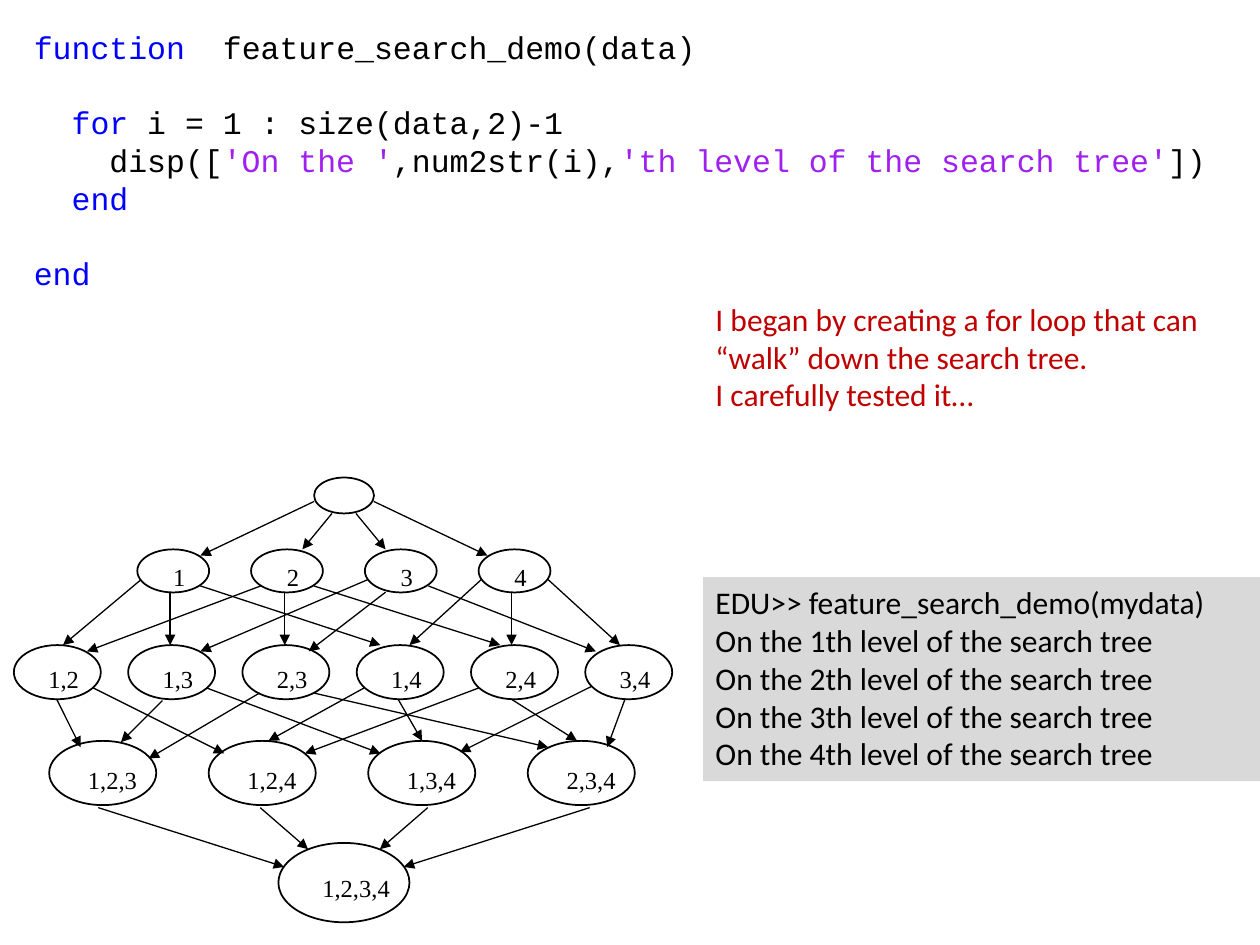
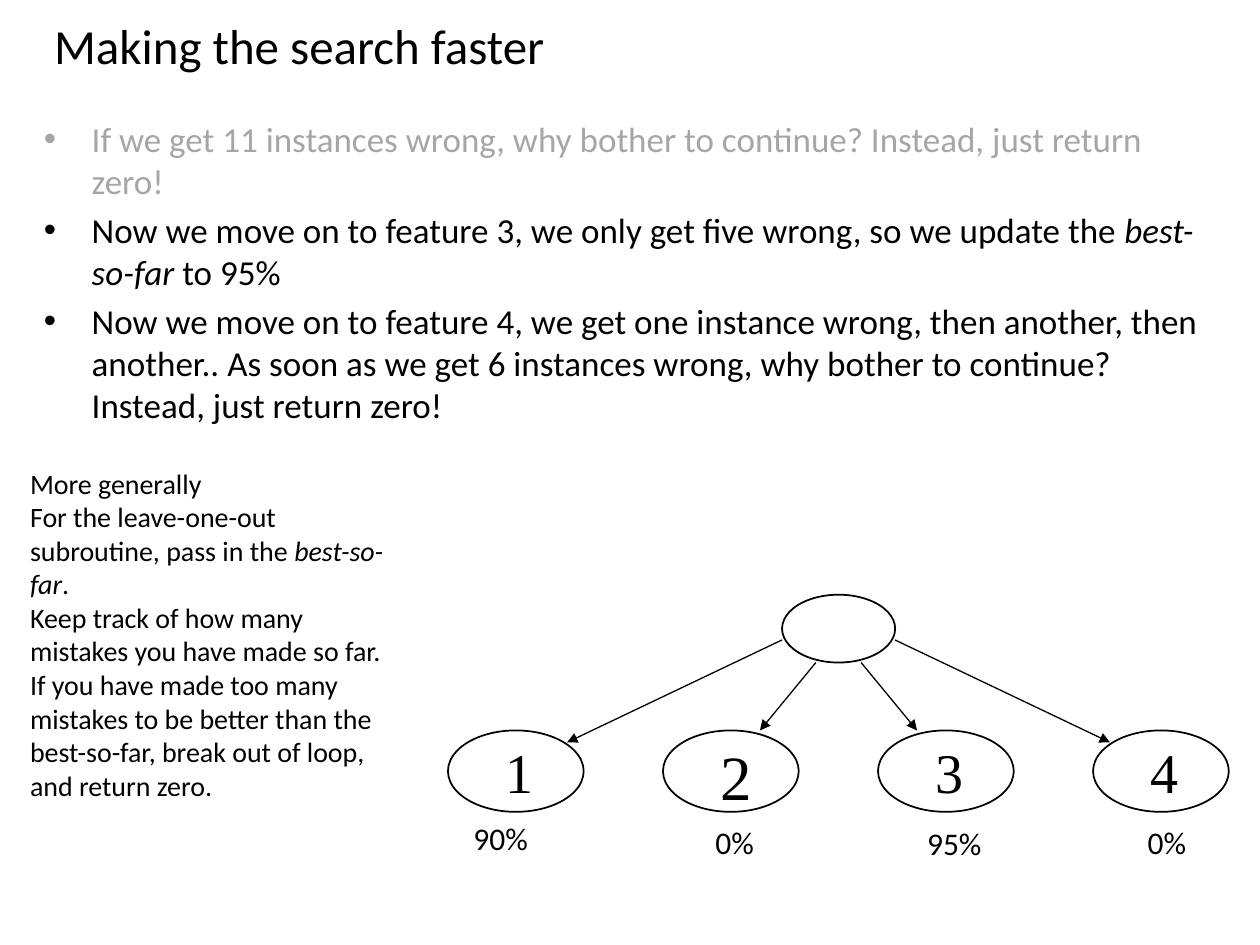
from lxml.etree import SubElement
from pptx import Presentation
from pptx.dml.color import RGBColor
from pptx.enum.shapes import MSO_CONNECTOR, MSO_SHAPE
from pptx.enum.text import MSO_ANCHOR, PP_ALIGN
from pptx.oxml.ns import qn
from pptx.util import Inches, Pt

COLORS = {"black": "000000", "blue": "0000FF", "purple": "A020F0",
          "red": "C00000", "gray": "A6A6A6", "panel": "D9D9D9"}
COLS, ROWS = 100, 75
SANS, MONO, SERIF = "Calibri", "Courier New", "Times New Roman"


def color(name):
    return RGBColor.from_string(COLORS[name])


def put(frame, paras, size=18, font=SANS, ink="black", wrap=True):
    """Fill a frame; a paragraph is a list of runs: text or (text, ink, italic)."""
    frame.word_wrap = wrap
    frame.vertical_anchor = MSO_ANCHOR.TOP
    for i, runs in enumerate(paras):
        para = frame.paragraphs[0] if i == 0 else frame.add_paragraph()
        para.alignment = PP_ALIGN.LEFT
        for item in runs:
            text, tone, slant = (item, ink, False) if isinstance(item, str) else item
            run = para.add_run()
            run.text = text
            run.font.name, run.font.size = font, Pt(size)
            run.font.italic = slant
            run.font.color.rgb = color(tone)
    return frame.paragraphs


class Deck:
    """Holds the file and current slide; lengths are grid columns and rows."""

    def __init__(self):
        self.prs = Presentation()
        self.prs.slide_width, self.prs.slide_height = Inches(10), Inches(7.5)

    def start(self, layout):
        self.slide = self.prs.slides.add_slide(self.prs.slide_layouts[layout])
        self.shapes = self.slide.shapes

    def grid(self, *spots):
        """Turn alternating columns and rows into slide lengths."""
        units = self.prs.slide_width / COLS, self.prs.slide_height / ROWS
        return [round(spot * units[i % 2]) for i, spot in enumerate(spots)]

    def title(self, text, *box):
        holder = self.shapes.title
        holder.left, holder.top, holder.width, holder.height = self.grid(*box)
        put(holder.text_frame, [[text]], size=28, wrap=False)

    def text(self, box, paras, **style):
        frame = self.shapes.add_textbox(*self.grid(*box)).text_frame
        return put(frame, paras, **style)

    def panel(self, box, paras):
        rect = self.shapes.add_shape(MSO_SHAPE.RECTANGLE, *self.grid(*box))
        rect.shadow.inherit = False
        rect.fill.solid()
        rect.fill.fore_color.rgb = color("panel")
        rect.line.fill.background()
        put(rect.text_frame, paras)

    def node(self, *box):
        oval = self.shapes.add_shape(MSO_SHAPE.OVAL, *self.grid(*box))
        oval.shadow.inherit = False
        oval.fill.background()
        oval.line.color.rgb = color("black")
        oval.line.width = Pt(1)

    def arrow(self, *ends):
        link = self.shapes.add_connector(MSO_CONNECTOR.STRAIGHT, *self.grid(*ends))
        link.line.color.rgb = color("black")
        link.line.width = Pt(0.75)
        SubElement(link.line._get_or_add_ln(), qn("a:tailEnd"), type="triangle")
        SubElement(link._element.spPr, qn("a:effectLst"))

    def pairs(self, mid, top, edges, scale=1):
        """Draw each arrow on both sides of the centre line."""
        for x1, y1, x2, y2 in edges:
            for side in (-scale, scale):
                self.arrow(mid + side * x1, top + scale * y1,
                           mid + side * x2, top + scale * y2)

    def fan(self, mid, top, scale=1):
        """Draw the root and its four children; return the children's spots."""
        self.pairs(mid, top, [(2.37, 1.9, 11.4, 6.2), (0.95, 2.85, 3.3, 5.7)], scale)
        self.node(mid - 2.37 * scale, top, 4.75 * scale, 2.85 * scale)
        spots = [(mid + (9.03 * i - 16.4) * scale, top + 5.7 * scale) for i in range(4)]
        for x, y in spots:
            self.node(x, y, 5.7 * scale, 3.42 * scale)
        return spots

    def label(self, x, y, word, size=14):
        digits = len(word.split(","))
        width = 2 + size * (0.07 + 0.105 * (digits - 1))
        self.text((x, y, width, 1 + size * 0.17), [[word]],
                  size=size, font=SERIF, wrap=False)


CODE = [  # indent in characters, blank line above, runs
    (0, False, [("function  ", "blue", False), "feature_search_demo(data)"]),
    (2, True, [("for ", "blue", False), "i = 1 : size(data,2)-1"]),
    (4, False, ["disp([", ("'On the '", "purple", False), ",num2str(i),",
                ("'th level of the search tree'", "purple", False), "])"]),
    (2, False, [("end", "blue", False)]),
    (0, True, [("end", "blue", False)]),
]
EDGES = [
    # one feature to two
    (11.2, 46, 5, 51.2), (13.5, 47, 13.5, 51.2), (15.9, 46.5, 30.2, 51.2),
    (20.7, 46.5, 6.9, 51.7), (22.6, 47, 22.6, 51.2), (24.9, 46.5, 39.7, 51.2),
    (29.2, 46, 15.9, 51.7), (30.6, 47, 24.5, 51.7), (34, 46.5, 47.3, 51.7),
    (38.2, 46, 32.5, 51.2), (40.6, 47, 40.6, 51.2), (43.5, 46, 49.2, 51.2),
    # two features to three
    (4.5, 55.5, 6.4, 59.3), (7.4, 54.6, 17.8, 59.8), (12.9, 55.6, 9.6, 58.9),
    (16.4, 54.6, 30.2, 59.8), (20.6, 55, 11.8, 60.2), (24.9, 55, 43.5, 59.3),
    (28.9, 54.6, 21.3, 58.8), (31.6, 55.5, 33.5, 58.8), (38, 54.6, 24.2, 59.8),
    (40.6, 55.5, 45.8, 58.8), (46.9, 54.5, 36.5, 59.7), (49.6, 55.5, 48.2, 59.3),
]
LEVELS = [  # words, left, top, pitch, width, height, label offset
    (["1,2", "1,3", "2,3", "1,4", "2,4", "3,4"], 1.1, 51.2, 9.07, 6.9, 4.3, (1.75, 1)),
    (["1,2,3", "1,2,4", "1,3,4", "2,3,4"], 3.9, 58.8, 12.66, 8.5, 5.1, (2.1, 1.4)),
    (["1,2,3,4"], 22.1, 66.9, 0, 10.4, 6.3, (2.5, 1.9)),
]


def code(deck):
    lines = deck.text((1.7, 1.7, 105.8, 22.2), [runs for _, _, runs in CODE], font=MONO)
    for para, (indent, gap, _) in zip(lines, CODE):
        para.line_spacing = Pt(21.6)
        para.space_before = Pt(21.6 if gap else 0)
        para._p.get_or_add_pPr().set("marL", str(Inches(0.15 * indent)))


def demo(deck):
    deck.start(6)
    code(deck)
    for edge in EDGES:
        deck.arrow(*edge)
    deck.pairs(27.3, 0, [(19.5, 64.1, 4.75, 68.8), (6.65, 64.1, 2.85, 67.4)])
    for (x, y), word in zip(deck.fan(27.3, 37.9), "1234"):
        deck.label(x + 1.85, y + 0.5, word)
    for words, left, top, pitch, width, height, (dx, dy) in LEVELS:
        for i, word in enumerate(words):
            x = left + pitch * i
            deck.node(x, top, width, height)
            deck.label(x + dx, top + dy, word)
    trace = [[f"On the {i}th level of the search tree"] for i in range(1, 5)]
    deck.panel((55.8, 45.8, 44.2, 16.2), [["EDU>> feature_search_demo(mydata)"]] + trace)
    deck.text((55.8, 23.3, 40.8, 10.1), [
        ["I began by creating a for loop that can “walk” down the search tree."],
        ["I carefully tested it…"]], ink="red")


def faster(deck):
    deck.start(5)
    deck.title("Making the search faster", 3.3, 0.7, 41.3, 5.7)
    points = deck.text((2.5, 8.8, 95, 60), [
        [("If we get 11 instances wrong, why bother to continue? "
          "Instead, just return zero!", "gray", False)],
        ["Now we move on to feature 3, we only get five wrong, so we update the ",
         ("best-so-far ", "black", True), "to 95%"],
        ["Now we move on to feature 4, we get one instance wrong, then another, "
         "then another.. As soon as we get 6 instances wrong, why bother to "
         "continue? Instead, just return zero!"]], size=20)
    for para in points:
        para.space_before = Pt(4)
        props = para._p.get_or_add_pPr()
        props.set("marL", str(Inches(0.38)))
        props.set("indent", str(Inches(-0.38)))
        SubElement(props, qn("a:buFont"), typeface="Arial")
        SubElement(props, qn("a:buChar"), char="•")
    deck.text((1.4, 36.5, 30.9, 27.9), [
        ["More generally"],
        ["For the leave-one-out subroutine, pass in the ",
         ("best-so-far", "black", True), "."],
        ["Keep track of how many mistakes you have made so far. If you have made "
         "too many mistakes to be better than the best-so-far, break out of loop, "
         "and return zero."]], size=16)
    sizes = 32, 36, 32, 32
    for (x, y), word, size in zip(deck.fan(66.55, 47.2, 1.89), "1234", sizes):
        deck.label(x + 3.55, y + 0.1, word, size)
    scores = [("90%", 36.6, 64.5), ("0%", 55.8, 64.8),
              ("95%", 72.6, 64.9), ("0%", 90.1, 64.8)]
    for score, x, y in scores:
        deck.text((x, y, 3.1 + 1.3 * len(score), 4), [[score]], wrap=False)


def main():
    deck = Deck()
    demo(deck)
    faster(deck)
    deck.prs.save("out.pptx")


if __name__ == "__main__":
    main()
